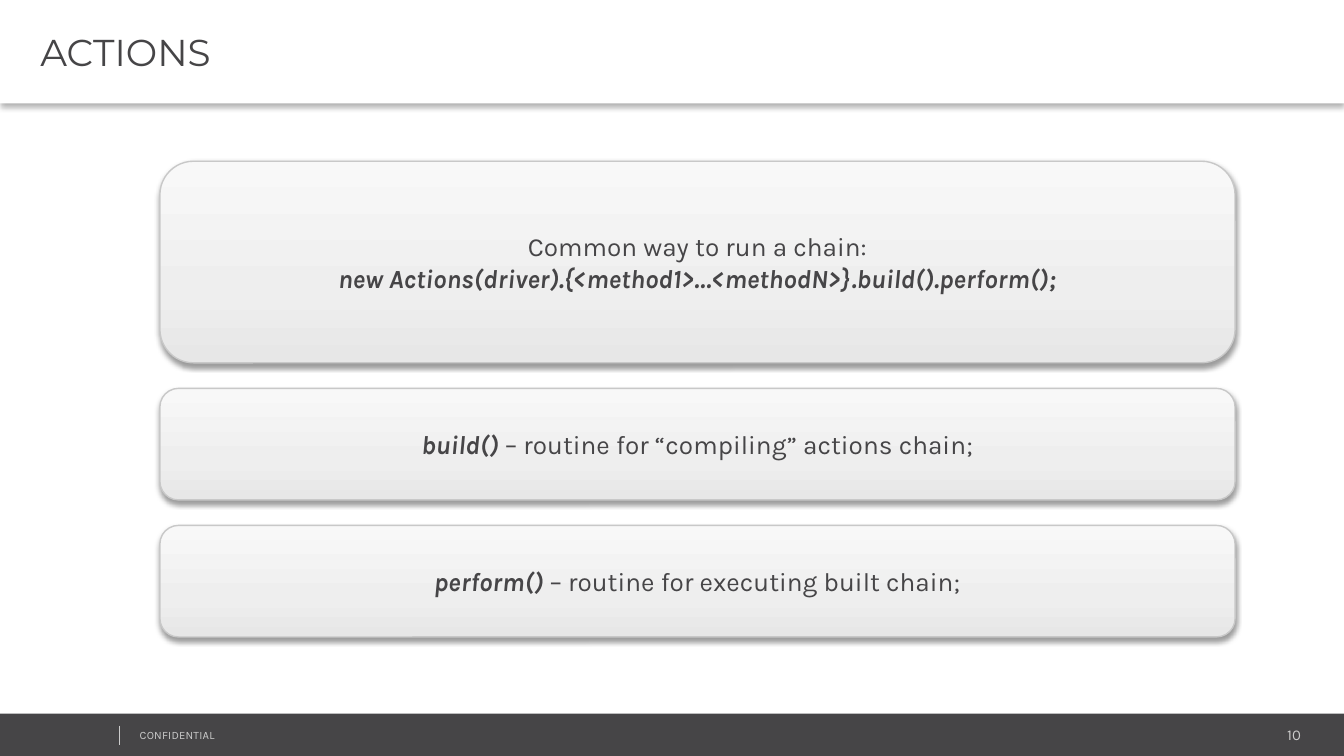
from lxml import etree
from pptx import Presentation
from pptx.dml.color import RGBColor
from pptx.enum.shapes import MSO_CONNECTOR, MSO_SHAPE
from pptx.enum.text import MSO_ANCHOR, PP_ALIGN
from pptx.oxml import parse_xml
from pptx.oxml.ns import nsdecls, qn
from pptx.util import Inches, Pt

COLORS = {"dark": "464547", "pale": "CCCCCC", "white": "FFFFFF", "edge": "C8C8C8", "shadow": "000000"}
CARD_STOPS = [(0, "E7E7E7"), (35, "EEEEEE"), (100, "F8F8F8")]
CARDS = [
    (1.5, [[("Common way to run a chain:", False)],
           [("new Actions(driver).{<method1>…<methodN>}.build().perform();", True)]]),
    (0.83, [[("build() ", True), ("– routine for “compiling” actions chain;", False)]]),
    (0.83, [[("perform() ", True), ("– routine for executing built chain;", False)]]),
]


def rgb(name):
    """Return the named palette colour."""
    return RGBColor.from_string(COLORS[name])


def add_run(p, text, size, font, color, strong=False):
    """Add one styled run, bold italic if strong."""
    r = p.add_run()
    r.text = text
    r.font.size, r.font.name = Pt(size), font
    r.font.bold = r.font.italic = strong
    r.font.color.rgb = rgb(color)
    return r


def set_insets(tf, left=0.07):
    """Set narrow margins on a text frame."""
    tf.word_wrap = True
    tf.margin_left, tf.margin_right = Inches(left), Inches(0.07)
    tf.margin_top = tf.margin_bottom = Inches(0.04)


def add_box(s, kind, x, y, w, h, fill=None):
    """Add a shape without line or shadow."""
    sp = s.shapes.add_shape(kind, Inches(x), Inches(y), Inches(w), Inches(h))
    sp.shadow.inherit = False
    sp.line.fill.background()
    if fill:
        sp.fill.solid()
        sp.fill.fore_color.rgb = rgb(fill)
    return sp


def add_shadow(sp, alpha, dist):
    """Give a shape a soft shadow that falls downwards."""
    effects = sp._element.spPr.find(qn("a:effectLst"))
    effects.append(parse_xml(
        f'<a:outerShdw {nsdecls("a")} blurRad="{Pt(3.1)}" dist="{Pt(dist)}" dir="5400000" '
        f'algn="t" rotWithShape="0"><a:srgbClr val="{COLORS["shadow"]}">'
        f'<a:alpha val="{alpha * 1000}"/></a:srgbClr></a:outerShdw>'))


def set_gradient(sp, stops):
    """Fill a shape with stops running from bottom to top."""
    sp.fill.gradient()
    sp.fill.gradient_angle = 90
    gs_list = sp._element.spPr.find(qn("a:gradFill")).find(qn("a:gsLst"))
    for gs in list(gs_list):
        gs_list.remove(gs)
    for pos, color in stops:
        gs = etree.SubElement(gs_list, qn("a:gs"), pos=str(pos * 1000))
        etree.SubElement(gs, qn("a:srgbClr"), val=color)


def add_label(s, x, y, w, h, text, size, align):
    """Add one pale footer label and return its run."""
    tf = s.shapes.add_textbox(Inches(x), Inches(y), Inches(w), Inches(h)).text_frame
    set_insets(tf)
    p = tf.paragraphs[0]
    p.alignment = align
    return add_run(p, text, size, "Karla", "pale")


def add_footer(s, x, y, w, h):
    """Draw the footer bar with page number, label and divider."""
    add_box(s, MSO_SHAPE.RECTANGLE, x, y, w, h, "dark")
    add_label(s, x + w - 1.89, y + 0.05, 1.63, 0.21, "10", 8, PP_ALIGN.RIGHT)
    r = add_label(s, x + 0.97, y + 0.07, 2.53, 0.18, "CONFIDENTIAL", 6, PP_ALIGN.LEFT)
    r._r.get_or_add_rPr().set("spc", "10")
    divider = s.shapes.add_connector(MSO_CONNECTOR.STRAIGHT, Inches(x + 0.89), Inches(y + 0.09),
                                     Inches(x + 0.89), Inches(y + 0.23))
    divider.line.color.rgb = rgb("pale")
    divider.line.width = Pt(0.25)
    etree.SubElement(divider._element.spPr, qn("a:effectLst"))


def add_header(s, x, y, w, h, title):
    """Draw the white title band with its shadow."""
    sp = add_box(s, MSO_SHAPE.RECTANGLE, x, y, w, h, "white")
    add_shadow(sp, 30, 2)
    tf = sp.text_frame
    set_insets(tf, 0.3)
    tf.vertical_anchor = MSO_ANCHOR.MIDDLE
    p = tf.paragraphs[0]
    p.alignment = PP_ALIGN.LEFT
    add_run(p, title, 20, "Montserrat", "dark")


def add_card(s, x, y, w, h, lines):
    """Draw one rounded card with centred lines of runs."""
    sp = add_box(s, MSO_SHAPE.ROUNDED_RECTANGLE, x, y, w, h)
    set_gradient(sp, CARD_STOPS)
    sp.line.color.rgb = rgb("edge")
    sp.line.width = Pt(0.75)
    add_shadow(sp, 38, 1.6)
    tf = sp.text_frame
    tf.word_wrap = True
    tf.vertical_anchor = MSO_ANCHOR.MIDDLE
    for i, line in enumerate(lines):
        p = tf.add_paragraph() if i else tf.paragraphs[0]
        p.alignment = PP_ALIGN.CENTER
        for text, strong in line:
            add_run(p, text, 14, "Karla", "dark", strong)


def add_cards(s, x, y, w, gap):
    """Stack the cards downwards with equal gaps."""
    for h, lines in CARDS:
        add_card(s, x, y, w, h, lines)
        y += h + gap


def main():
    """Build and save the slide."""
    prs = Presentation()
    prs.slide_width, prs.slide_height = Inches(10), Inches(10 * 9 / 16)
    s = prs.slides.add_slide(prs.slide_layouts[6])
    add_footer(s, 0, 5.31, 10.01, 0.33)
    add_header(s, 0, 0, 10, 0.77, "ACTIONS")
    add_cards(s, 1.19, 1.2, 8, 0.19)
    prs.save("out.pptx")


if __name__ == "__main__":
    main()
